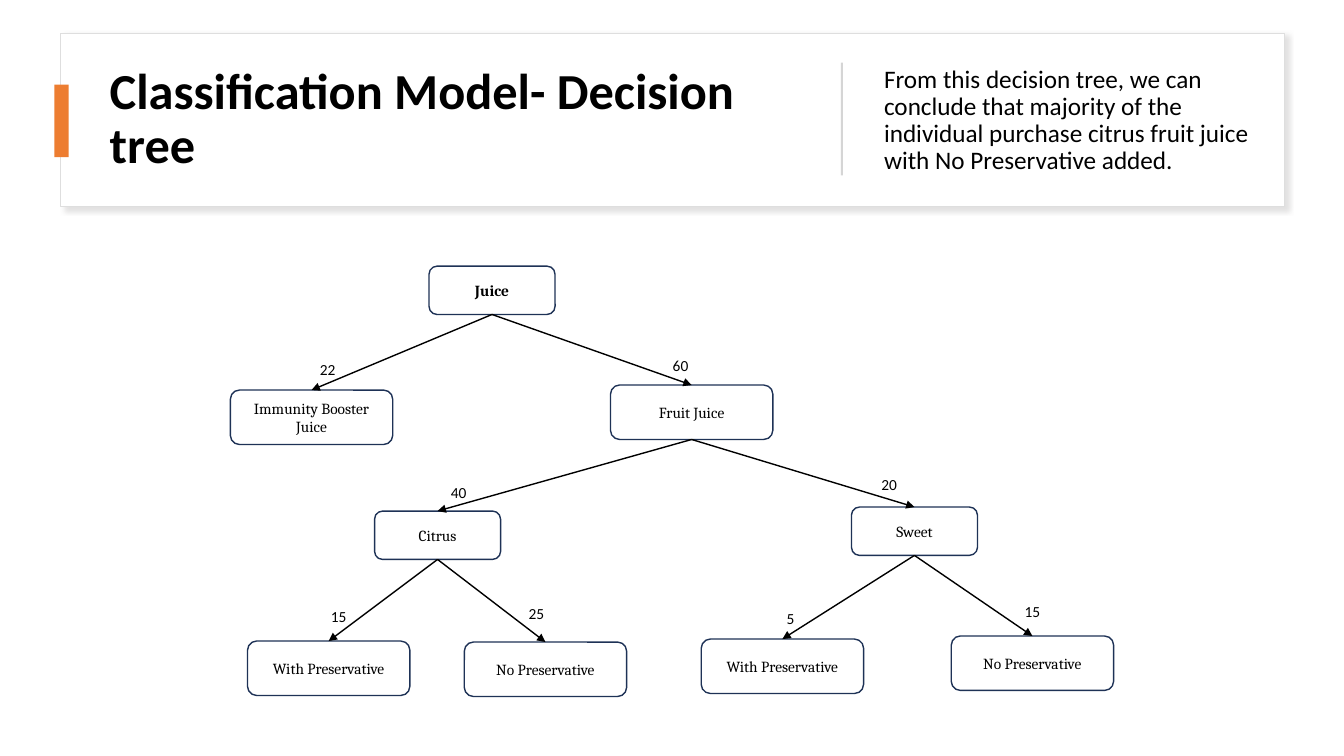
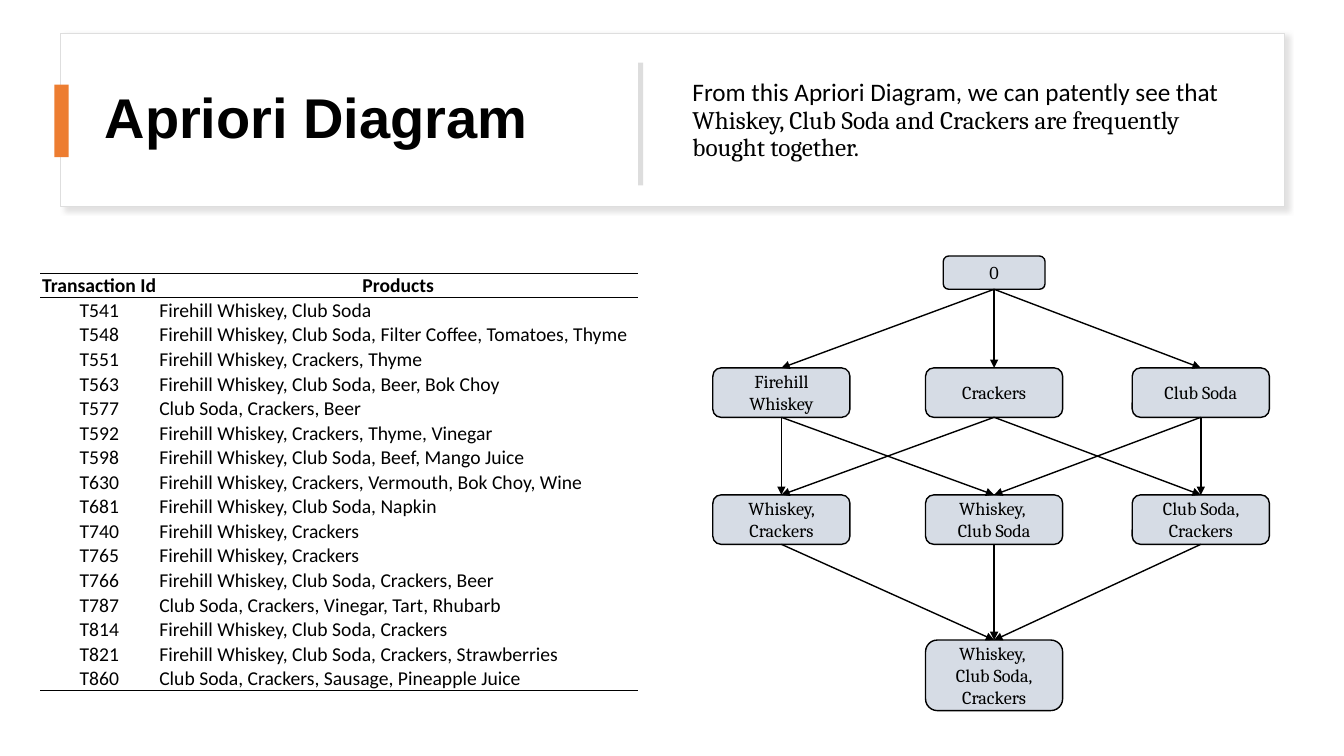
import dataclasses
import itertools

import lxml.etree
import pptx
import pptx.dml.color
import pptx.enum.shapes
import pptx.enum.text
import pptx.oxml.ns
import pptx.util

Inches = pptx.util.Inches
Pt = pptx.util.Pt
qn = pptx.oxml.ns.qn
SHAPE = pptx.enum.shapes.MSO_SHAPE
ALIGN = pptx.enum.text.PP_ALIGN
ANCHOR = pptx.enum.text.MSO_ANCHOR


@dataclasses.dataclass(frozen=True)
class Theme:
    ink: str = "000000"
    paper: str = "FFFFFF"
    accent: str = "ED7D31"
    card_line: str = "DEDEDE"
    card_shadow: str = "C5C3C3"
    tree_line: str = "1E3256"
    lattice_fill: str = "D6DCE5"
    sans: str = "Calibri"
    serif: str = "Cambria"
    display: str = "Arial"
    body_size: int = 18
    table_size: int = 14
    lattice_size: int = 13
    tree_size: int = 11


THEME = Theme()

# name: (text, centre x, top, is wide)
TREE_NODES = {
    "juice": ("Juice", 2.59, 0, False),
    "immunity": ("Immunity Booster Juice", 0.8, 1.23, True),
    "fruit": ("Fruit Juice", 4.57, 1.18, True),
    "citrus": ("Citrus", 2.05, 2.43, False),
    "sweet": ("Sweet", 6.78, 2.39, False),
    "citrus with": ("With Preservative", 0.97, 3.72, True),
    "citrus no": ("No Preservative", 3.12, 3.73, True),
    "sweet with": ("With Preservative", 5.47, 3.7, True),
    "sweet no": ("No Preservative", 7.95, 3.67, True),
}
# parent, child, count, offset of the count from the arrow tip
TREE_EDGES = [
    ("juice", "immunity", "22", 0.16, -0.21),
    ("juice", "fruit", "60", -0.11, -0.2),
    ("fruit", "citrus", "40", 0.21, -0.19),
    ("fruit", "sweet", "20", -0.25, -0.22),
    ("citrus", "citrus with", "15", 0.1, -0.25),
    ("citrus", "citrus no", "25", -0.09, -0.28),
    ("sweet", "sweet with", "5", 0.08, -0.21),
    ("sweet", "sweet no", "15", 0, -0.24),
]

# letters stand for Whiskey, Crackers and Soda: (text, column, row)
ITEMSETS = {
    "": ("0", 1, 0),
    "W": ("Firehill Whiskey", 0, 1),
    "C": ("Crackers", 1, 1),
    "S": ("Club Soda", 2, 1),
    "WC": ("Whiskey, Crackers", 0, 2),
    "WS": ("Whiskey, \vClub Soda", 1, 2),
    "SC": ("Club Soda, Crackers", 2, 2),
    "WSC": ("Whiskey, \vClub Soda,\vCrackers", 1, 3),
}

TRANSACTIONS = [
    ("Transaction Id", "Products"),
    ("T541", "Firehill Whiskey, Club Soda"),
    ("T548", "Firehill Whiskey, Club Soda, Filter Coffee, Tomatoes, Thyme"),
    ("T551", "Firehill Whiskey, Crackers, Thyme"),
    ("T563", "Firehill Whiskey, Club Soda, Beer, Bok Choy"),
    ("T577", "Club Soda, Crackers, Beer"),
    ("T592", "Firehill Whiskey, Crackers, Thyme, Vinegar"),
    ("T598", "Firehill Whiskey, Club Soda, Beef, Mango Juice"),
    ("T630", "Firehill Whiskey, Crackers, Vermouth, Bok Choy, Wine"),
    ("T681", "Firehill Whiskey, Club Soda, Napkin"),
    ("T740", "Firehill Whiskey, Crackers"),
    ("T765", "Firehill Whiskey, Crackers"),
    ("T766", "Firehill Whiskey, Club Soda, Crackers, Beer"),
    ("T787", "Club Soda, Crackers, Vinegar, Tart, Rhubarb"),
    ("T814", "Firehill Whiskey, Club Soda, Crackers"),
    ("T821", "Firehill Whiskey, Club Soda, Crackers, Strawberries"),
    ("T860", "Club Soda, Crackers, Sausage, Pineapple Juice"),
]


def rgb(value):
    return pptx.dml.color.RGBColor.from_string(value)


def style_paragraph(p, size, face, bold=False, align=ALIGN.LEFT):
    p.alignment = align
    p.font.size = Pt(size)
    p.font.name = face
    p.font.bold = bold
    p.font.color.rgb = rgb(THEME.ink)


def add_box(slide, kind, box, fill=None, line=None):
    s = slide.shapes.add_shape(kind, *map(Inches, box))
    s.shadow.inherit = False
    if fill:
        s.fill.solid()
        s.fill.fore_color.rgb = rgb(fill)
    else:
        s.fill.background()
    if line:
        s.line.color.rgb = rgb(line)
        s.line.width = Pt(1)
    else:
        s.line.fill.background()
    return s


def add_text(slide, box, runs, size, face, **style):
    """Add a middle-anchored text box; runs are (text, font or None)."""
    s = slide.shapes.add_textbox(*map(Inches, box))
    tf = s.text_frame
    tf.word_wrap = True
    tf.vertical_anchor = ANCHOR.MIDDLE
    p = tf.paragraphs[0]
    style_paragraph(p, size, face, **style)
    for text, run_face in runs:
        r = p.add_run()
        r.text = text
        if run_face:
            r.font.name = run_face
    return s


def add_node(slide, box, text, size, line, fill=None, bold=False):
    s = add_box(slide, SHAPE.ROUNDED_RECTANGLE, box, fill, line)
    tf = s.text_frame
    tf.word_wrap = True
    tf.vertical_anchor = ANCHOR.MIDDLE
    tf.margin_top = tf.margin_bottom = 0
    p = tf.paragraphs[0]
    p.text = text
    style_paragraph(p, size, THEME.serif, bold, ALIGN.CENTER)
    return s


def add_arrow(slide, parent, child):
    """Connect the bottom of parent to the top of child."""
    c = slide.shapes.add_connector(pptx.enum.shapes.MSO_CONNECTOR.STRAIGHT, 0, 0, 0, 0)
    c.begin_connect(parent, 2)
    c.end_connect(child, 0)
    c.line.color.rgb = rgb(THEME.ink)
    c.line.width = Pt(1)
    lxml.etree.SubElement(c.line._get_or_add_ln(), qn("a:tailEnd"), type="triangle")
    lxml.etree.SubElement(c.element.spPr, qn("a:effectLst"))


def add_card_shadow(card):
    effects = card.element.spPr.find(qn("a:effectLst"))
    shadow = lxml.etree.SubElement(
        effects, qn("a:outerShdw"), blurRad=str(Pt(4)), dist=str(Pt(3)),
        dir=str(45 * 60000), algn="tl", rotWithShape="0")
    color = lxml.etree.SubElement(shadow, qn("a:srgbClr"), val=THEME.card_shadow)
    lxml.etree.SubElement(color, qn("a:alpha"), val="50000")


def add_header(slide, box, title, divider, summary):
    """title: (text, left, size, font); divider: (left, width, height, fill);
    summary: (left, runs). Lefts are relative to the box."""
    x, y, w, h = box
    add_card_shadow(add_box(slide, SHAPE.RECTANGLE, box, THEME.paper, THEME.card_line))
    add_box(slide, SHAPE.RECTANGLE, (x - 0.06, y + 0.51, 0.14, 0.72), THEME.accent)

    text, left, size, face = title
    s = add_text(slide, (x + left, y + 0.11, 7.42 - left, 1.5), [(text, None)],
                 size, face, bold=True)
    s.text_frame.paragraphs[0].line_spacing = 0.9

    left, width, height, fill = divider
    add_box(slide, SHAPE.RECTANGLE, (x + left, y + 0.29, width, height), fill)

    left, runs = summary
    s = add_text(slide, (x + left, y + 0.22, w - 0.2 - left, 1.3), runs,
                 THEME.body_size, THEME.sans)
    s.text_frame.paragraphs[0].line_spacing = 0.9


def add_decision_tree(slide, x, y):
    nodes = {}
    for name, (text, center, top, wide) in TREE_NODES.items():
        w, h = (1.61, 0.54) if wide else (1.25, 0.48)
        nodes[name] = add_node(slide, (x + center - w / 2, y + top, w, h), text,
                               THEME.tree_size, THEME.tree_line, bold=name == "juice")
    w, h = 0.4, 0.17
    for parent, child, count, dx, dy in TREE_EDGES:
        add_arrow(slide, nodes[parent], nodes[child])
        _, center, top, _ = TREE_NODES[child]
        box = (x + center + dx - w / 2, y + top + dy - h / 2, w, h)
        tf = add_text(slide, box, [(count, None)], THEME.tree_size, THEME.sans,
                      align=ALIGN.CENTER).text_frame
        tf.margin_left = tf.margin_right = tf.margin_top = tf.margin_bottom = 0


def add_lattice(slide, x, y):
    """Draw the itemsets, each joined to those with one item more."""
    centers = (0.68, 2.79, 4.84)
    tops = (0, 1.11, 2.37, 3.81)
    sizes = ((1.01, 0.33), (1.36, 0.49), (1.36, 0.49), (1.36, 0.7))
    nodes = {}
    for items, (text, col, row) in ITEMSETS.items():
        w, h = sizes[row]
        box = (x + centers[col] - w / 2, y + tops[row], w, h)
        nodes[items] = add_node(slide, box, text, THEME.lattice_size,
                                THEME.ink, THEME.lattice_fill)
    for small, large in itertools.combinations(ITEMSETS, 2):
        if set(small) < set(large) and len(large) == len(small) + 1:
            add_arrow(slide, nodes[small], nodes[large])


def add_rule(cell, side):
    """Draw a border on one side of a cell: lnT or lnB."""
    ln = lxml.etree.SubElement(cell._tc.get_or_add_tcPr(), qn("a:" + side), w=str(Pt(1)))
    fill = lxml.etree.SubElement(ln, qn("a:solidFill"))
    lxml.etree.SubElement(fill, qn("a:srgbClr"), val=THEME.ink)


def add_transactions(slide, x, y):
    widths = (1.17, 4.76)
    row_height = 0.24
    last = len(TRANSACTIONS) - 1
    frame = slide.shapes.add_table(
        len(TRANSACTIONS), len(widths), Inches(x), Inches(y),
        Inches(sum(widths)), Inches(row_height * len(TRANSACTIONS)))
    table = frame.table
    table.first_row = table.horz_banding = False
    no_grid = "{2D5ABB26-0587-4C30-8999-92F81FD0307C}"
    next(frame.element.iter(qn("a:tableStyleId"))).text = no_grid
    for column, width in zip(table.columns, widths):
        column.width = Inches(width)
    for i, row in enumerate(TRANSACTIONS):
        table.rows[i].height = Inches(row_height)
        header = i == 0
        for j, text in enumerate(row):
            cell = table.cell(i, j)
            cell.margin_left = cell.margin_right = cell.margin_top = Inches(0.01)
            cell.margin_bottom = 0
            cell.vertical_anchor = ANCHOR.BOTTOM
            if header:
                add_rule(cell, "lnT")
            if i in (0, last):
                add_rule(cell, "lnB")
            cell.fill.background()
            p = cell.text_frame.paragraphs[0]
            p.text = text
            centered = header or j == 0
            style_paragraph(p, THEME.table_size, THEME.sans, header,
                            ALIGN.CENTER if centered else ALIGN.LEFT)


def main():
    prs = pptx.Presentation()
    prs.slide_width, prs.slide_height = Inches(13.33), Inches(7.5)
    blank = prs.slide_layouts[6]
    header_box = (0.6, 0.33, 12.14, 1.72)

    slide = prs.slides.add_slide(blank)
    add_header(
        slide, header_box,
        ("Classification Model- Decision tree", 0.39, 36, THEME.sans),
        (7.74, 0.02, 1.12, "D5D5D5"),
        (8.07, [("From this decision tree, we can conclude that majority of the "
                 "individual purchase citrus fruit juice with No Preservative added.",
                 None)]))
    add_decision_tree(slide, 2.29, 2.64)

    slide = prs.slides.add_slide(blank)
    add_header(
        slide, header_box,
        ("Apriori Diagram", 0.34, 40, THEME.display),
        (5.73, 0.05, 1.22, "DDDDDD"),
        (6.17, [("From this Apriori Diagram, we can patently see that ", None),
                ("Whiskey, Club Soda and Crackers are frequently bought together.",
                 THEME.serif)]))
    add_lattice(slide, 7.07, 2.54)
    add_transactions(slide, 0.4, 2.71)

    prs.save("out.pptx")


if __name__ == "__main__":
    main()
